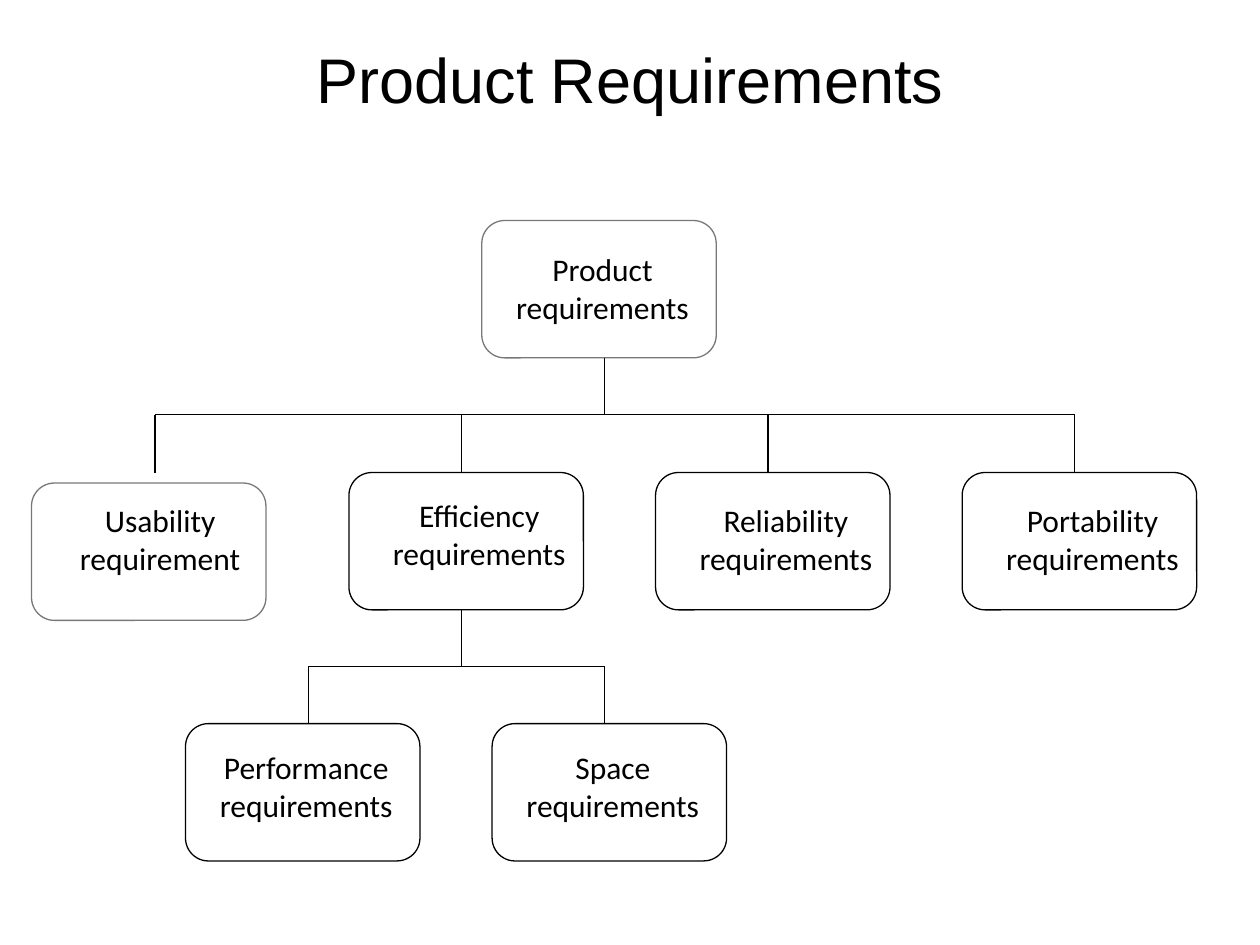
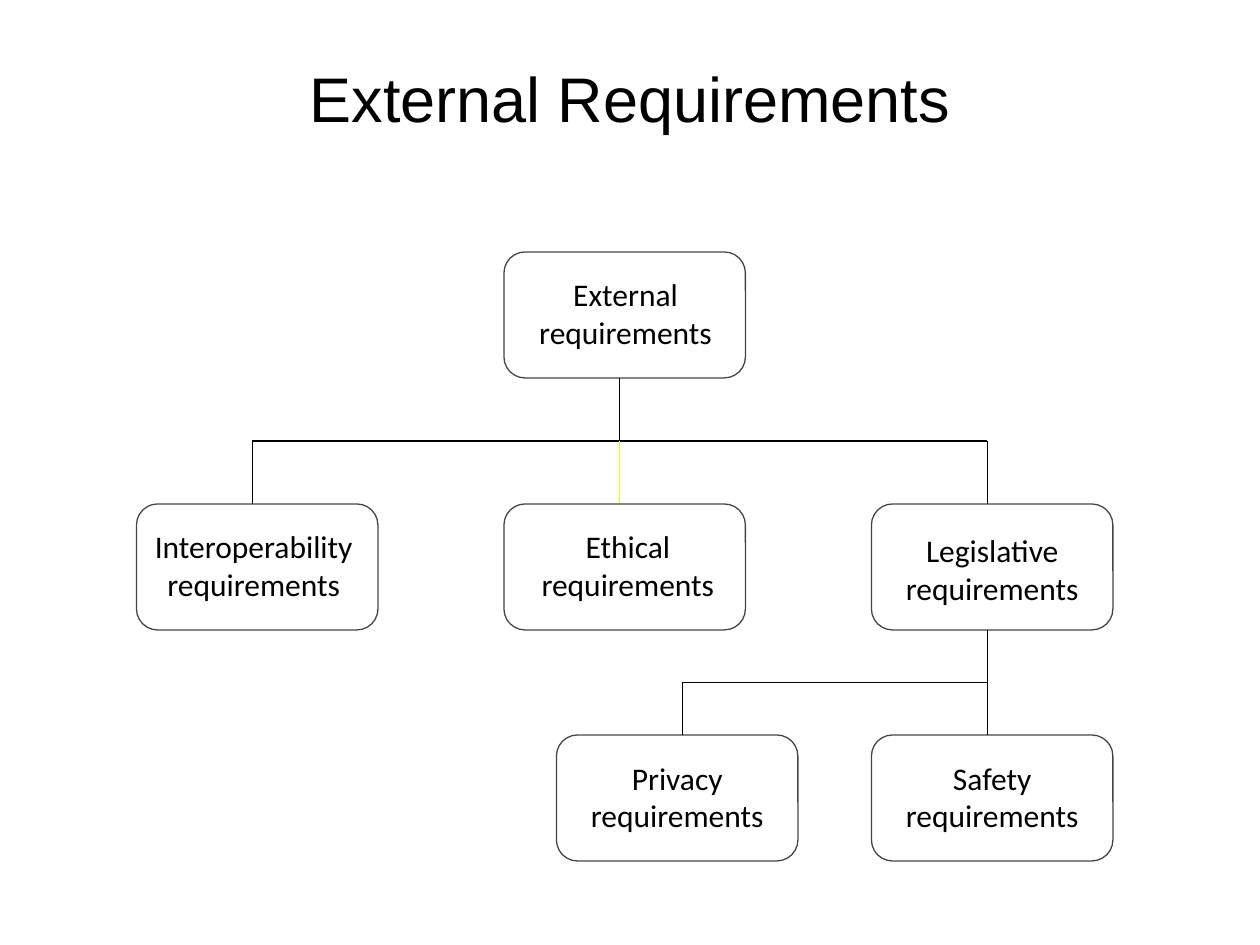
from dataclasses import dataclass

from lxml import etree
from pptx import Presentation
from pptx.dml.color import RGBColor
from pptx.enum import shapes, text
from pptx.oxml.ns import qn
from pptx.util import Pt


@dataclass(frozen=True)
class Theme:
    ink: str = "000000"
    accent: str = "FFFF00"
    title_font: str = "Arial"
    label_font: str = "Calibri"
    title_size: float = 36
    label_size: float = 18
    line_width: float = 0.75
    corner: float = 0.167


@dataclass(frozen=True)
class NodeStyle:
    width: float
    height: float
    opacity: int = 100


THEME = Theme()
LABEL_WIDTH, LABEL_HEIGHT = 132, 51


def style_line(line, color=THEME.ink, opacity=100):
    line.width = Pt(THEME.line_width)
    line.color.rgb = RGBColor.from_string(color)
    if opacity < 100:
        color_el = line._ln.find(qn("a:solidFill"))[0]
        etree.SubElement(color_el, qn("a:alpha"), val=str(opacity * 1000))


def add_text(slide, lines, left, top, width, height, *, font, size,
             wrap=True, anchor=text.MSO_ANCHOR.TOP):
    tf = slide.shapes.add_textbox(Pt(left), Pt(top), Pt(width), Pt(height)).text_frame
    tf.word_wrap = wrap
    tf.vertical_anchor = anchor
    for i, line in enumerate(lines):
        p = tf.paragraphs[0] if i == 0 else tf.add_paragraph()
        p.alignment = text.PP_ALIGN.CENTER
        r = p.add_run()
        r.text = line
        r.font.name, r.font.size = font, Pt(size)
        r.font.color.rgb = RGBColor.from_string(THEME.ink)


def add_title(slide, title, top, height):
    add_text(slide, [title], 36, top, 648, height, font=THEME.title_font,
             size=THEME.title_size, anchor=text.MSO_ANCHOR.MIDDLE)


def add_line(slide, x1, y1, x2, y2, color=THEME.ink):
    c = slide.shapes.add_connector(shapes.MSO_CONNECTOR.STRAIGHT,
                                   Pt(x1), Pt(y1), Pt(x2), Pt(y2))
    style_line(c.line, color)
    etree.SubElement(c._element.spPr, qn("a:effectLst"))


def add_node(slide, style, word, left, top, dx=0, dy=10, noun="requirements"):
    """Draw a rounded box; dx and dy place its label from the box's top centre."""
    sp = slide.shapes.add_shape(shapes.MSO_SHAPE.ROUNDED_RECTANGLE, Pt(left), Pt(top),
                                Pt(style.width), Pt(style.height))
    sp.adjustments[0] = THEME.corner
    sp.shadow.inherit = False
    sp.fill.background()
    style_line(sp.line, opacity=style.opacity)
    label_left = left + (style.width - LABEL_WIDTH) / 2 + dx
    add_text(slide, [word, noun], label_left, top + dy, LABEL_WIDTH, LABEL_HEIGHT,
             font=THEME.label_font, size=THEME.label_size, wrap=False)


def add_branch(slide, trunk_x, top, bar_y, bottom, drops, accent_drop=None):
    """Join a parent to its children: trunk, crossbar and one drop per child."""
    add_line(slide, trunk_x, top, trunk_x, bar_y)
    add_line(slide, drops[0], bar_y, drops[-1], bar_y)
    for i, x in enumerate(drops):
        color = THEME.accent if i == accent_drop else THEME.ink
        add_line(slide, x, bottom, x, bar_y, color)


def build_product(slide):
    add_title(slide, "Product Requirements", 0, 90)
    solid = NodeStyle(134, 78.5)
    faint = NodeStyle(134, 78.5, opacity=53)
    pitch, top_row, middle_row, bottom_row = 175.2, 126, 270, 413.5
    drops = [88.5 + i * pitch for i in range(4)]

    add_branch(slide, 345.6, top_row + solid.height, 237, middle_row, drops)
    add_branch(slide, drops[1], middle_row + solid.height, 381, bottom_row, [176.2, 345.6])

    add_node(slide, faint, "Product", 275.3, top_row, 2, 13.3)
    add_node(slide, faint, "Usability", 18, middle_row + 6, 6.5, 7, noun="requirement")
    children = [("Efficiency", 10), ("Reliability", 13), ("Portability", 13)]
    for i, (word, dy) in enumerate(children):
        add_node(slide, solid, word, 199.4 + i * pitch, middle_row, 7.5, dy)
    for i, word in enumerate(["Performance", "Space"]):
        add_node(slide, solid, word, 106 + i * pitch, bottom_row, 2, 10.5)


def build_external(slide):
    add_title(slide, "External Requirements", 21.6, 68.4)
    style = NodeStyle(138, 72, opacity=72)
    pitch, top_row, middle_row, bottom_row = 210, 144, 288, 420
    lefts = [78 + i * pitch for i in range(3)]
    drops = [144.1 + i * pitch for i in range(3)]

    add_branch(slide, drops[1], top_row + style.height, 252, middle_row, drops,
               accent_drop=1)
    add_branch(slide, drops[2], middle_row + style.height, 390, bottom_row,
               [390, drops[2]])

    add_node(slide, style, "External", lefts[1], top_row, 0.5, 9.6)
    children = [("Interoperability", -2, 9.6), ("Ethical", 1.8, 9.6), ("Legislative", 0, 12)]
    for left, (word, dx, dy) in zip(lefts, children):
        add_node(slide, style, word, left, middle_row, dx, dy)
    for word, left in [("Privacy", 318), ("Safety", lefts[2])]:
        add_node(slide, style, word, left, bottom_row)


def main():
    prs = Presentation()
    prs.slide_width, prs.slide_height = Pt(720), Pt(540)
    for build in (build_product, build_external):
        build(prs.slides.add_slide(prs.slide_layouts[6]))
    prs.save("out.pptx")


if __name__ == "__main__":
    main()
